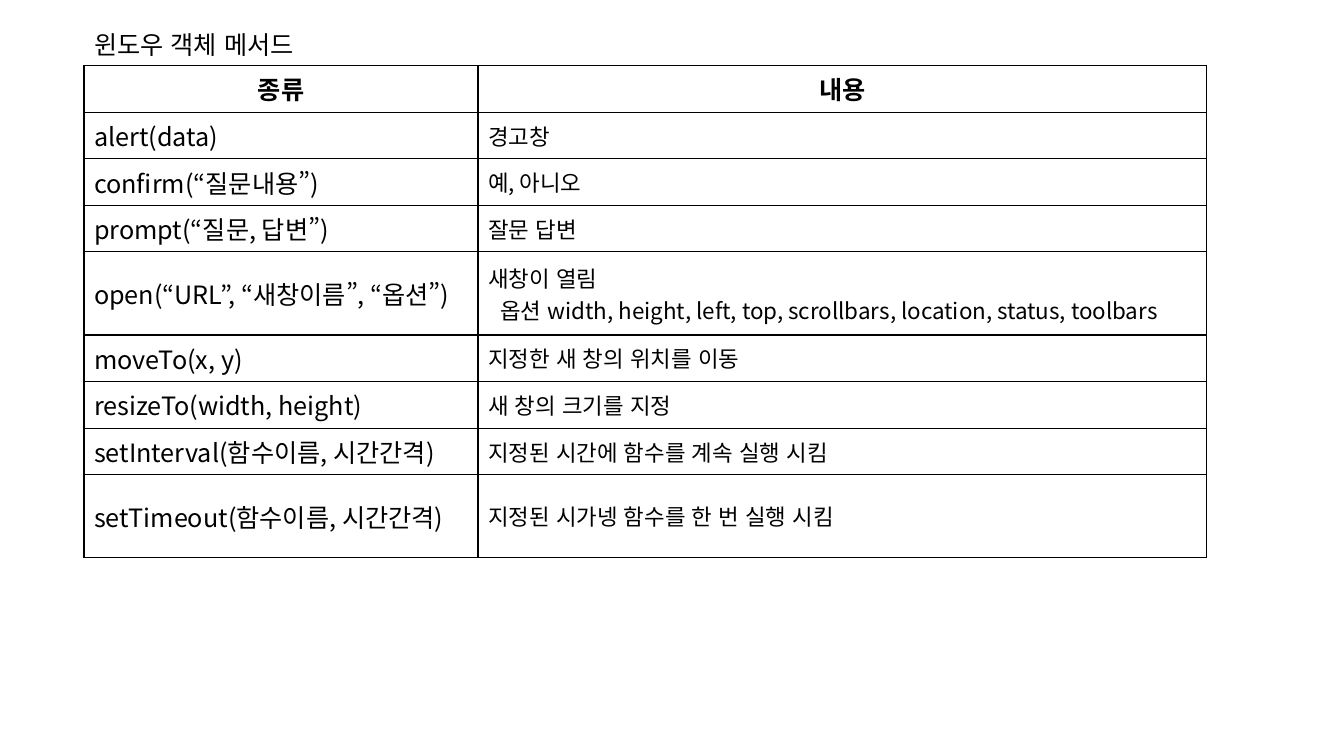
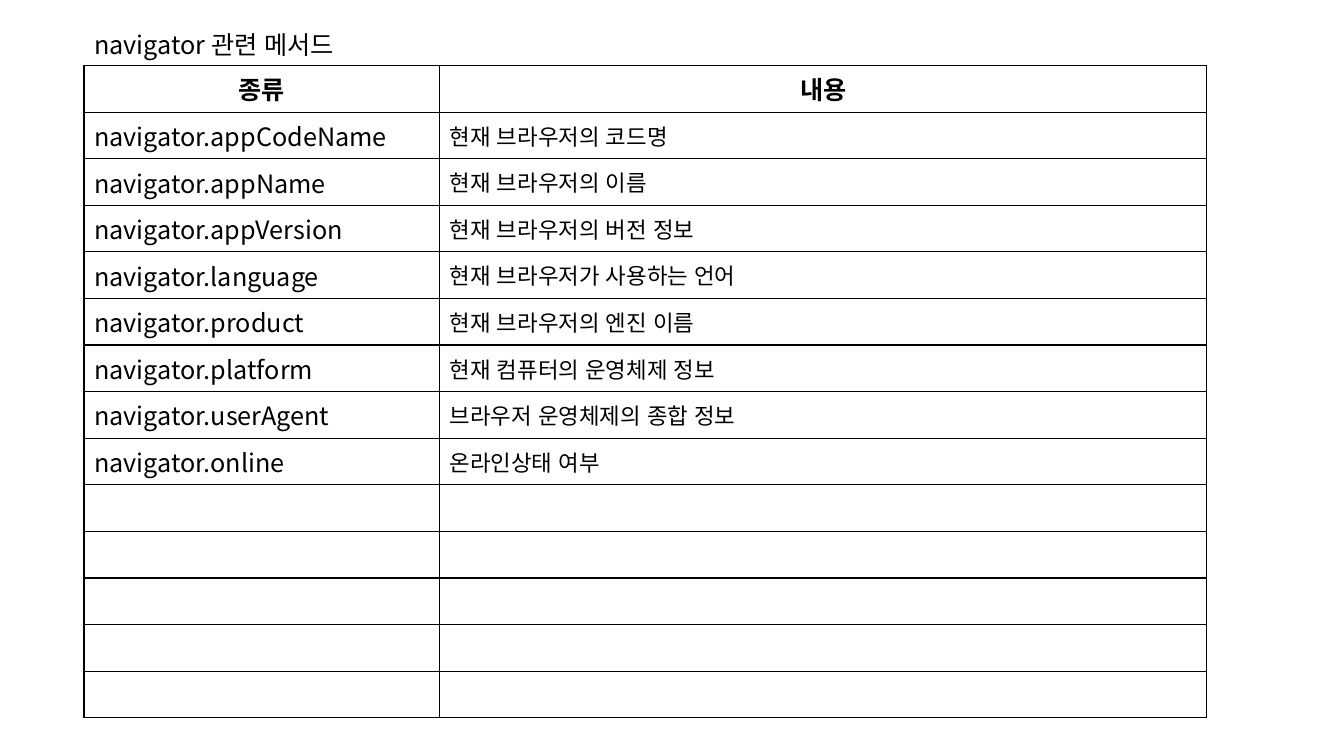
"""Build two reference slides listing the methods of browser objects."""
from dataclasses import dataclass

from lxml import etree
from pptx import Presentation
from pptx.dml.color import RGBColor
from pptx.enum.lang import MSO_LANGUAGE_ID
from pptx.enum.text import MSO_ANCHOR, MSO_AUTO_SIZE, PP_ALIGN
from pptx.oxml.ns import qn
from pptx.util import Pt

LEFT, CENTER = PP_ALIGN.LEFT, PP_ALIGN.CENTER
MIDDLE = MSO_ANCHOR.MIDDLE
NO_AUTOFIT = MSO_AUTO_SIZE.NONE
KOREAN = MSO_LANGUAGE_ID.KOREAN

COLORS = {"text": "000000", "border": "000000", "cell": "FFFFFF"}
FONT = "Noto Sans CJK KR"
LARGE, SMALL = 18, 16
TITLE_ONLY_LAYOUT = 5
TABLE_LEFT, TABLE_TOP, TABLE_WIDTH = 60, 46.8, 802
TITLE_TOP, TITLE_HEIGHT = 17.3, 28.8
ROW_HEIGHT = 33.3
OPTION_INDENT = 8.5
BORDER_WIDTH = 1
HEADERS = ("종류", "내용")


@dataclass(frozen=True)
class Entry:
    name: str
    description: str
    option: str = ""


@dataclass(frozen=True)
class MethodPage:
    title: str
    name_width: float
    entries: tuple[Entry, ...]
    empty_rows: int = 0


PAGES = (
    MethodPage("윈도우 객체 메서드", 281.5, (
        Entry("alert(data)", "경고창"),
        Entry("confirm(“질문내용”)", "예, 아니오"),
        Entry("prompt(“질문, 답변”)", "잘문 답변"),
        Entry("open(“URL”, “새창이름”, “옵션”)", "새창이 열림",
              "옵션 width, height, left, top, scrollbars, location, status, toolbars"),
        Entry("moveTo(x, y)", "지정한 새 창의 위치를 이동"),
        Entry("resizeTo(width, height)", "새 창의 크기를 지정"),
        Entry("setInterval(함수이름, 시간간격)", "지정된 시간에 함수를 계속 실행 시킴"),
        Entry("setTimeout(함수이름, 시간간격)", "지정된 시가넹 함수를 한 번 실행 시킴"),
    )),
    MethodPage("navigator 관련 메서드", 254, (
        Entry("navigator.appCodeName", "현재 브라우저의 코드명"),
        Entry("navigator.appName", "현재 브라우저의 이름"),
        Entry("navigator.appVersion", "현재 브라우저의 버전 정보"),
        Entry("navigator.language", "현재 브라우저가 사용하는 언어"),
        Entry("navigator.product", "현재 브라우저의 엔진 이름"),
        Entry("navigator.platform", "현재 컴퓨터의 운영체제 정보"),
        Entry("navigator.userAgent", "브라우저 운영체제의 종합 정보"),
        Entry("navigator.online", "온라인상태 여부"),
    ), empty_rows=5),
)


def add_text(paragraph, text: str, size: float, bold: bool = False, align=LEFT) -> None:
    paragraph.alignment = align
    run = paragraph.add_run()
    run.text = text
    font = run.font
    font.size = Pt(size)
    font.bold = bold
    font.language_id = KOREAN
    font.color.rgb = RGBColor.from_string(COLORS["text"])
    font.name = FONT
    latin = font._element.find(qn("a:latin"))
    east_asian = etree.Element(qn("a:ea"), typeface=FONT)
    latin.addnext(east_asian)


def style_cell(cell) -> None:
    cell.vertical_anchor = MIDDLE
    properties = cell._tc.get_or_add_tcPr()
    for side in ("a:lnL", "a:lnR", "a:lnT", "a:lnB"):
        line = etree.SubElement(properties, qn(side), w=str(Pt(BORDER_WIDTH)))
        fill = etree.SubElement(line, qn("a:solidFill"))
        etree.SubElement(fill, qn("a:srgbClr"), val=COLORS["border"])
    cell.fill.solid()
    cell.fill.fore_color.rgb = RGBColor.from_string(COLORS["cell"])


def add_title(slide, text: str) -> None:
    title = slide.shapes.title
    title.left, title.top = Pt(TABLE_LEFT), Pt(TITLE_TOP)
    title.width, title.height = Pt(TABLE_WIDTH), Pt(TITLE_HEIGHT)
    frame = title.text_frame
    frame.auto_size = NO_AUTOFIT
    frame.vertical_anchor = MIDDLE
    add_text(frame.paragraphs[0], text, LARGE)


def add_method_table(slide, page: MethodPage) -> None:
    row_count = 1 + len(page.entries) + page.empty_rows
    table = slide.shapes.add_table(
        row_count, len(HEADERS), Pt(TABLE_LEFT), Pt(TABLE_TOP),
        Pt(TABLE_WIDTH), Pt(ROW_HEIGHT * row_count)).table
    widths = (page.name_width, TABLE_WIDTH - page.name_width)
    for column, width in zip(table.columns, widths):
        column.width = Pt(width)
    for row in table.rows:
        row.height = Pt(ROW_HEIGHT)
    for cell in table.iter_cells():
        style_cell(cell)
    for column_index, header in enumerate(HEADERS):
        paragraph = table.cell(0, column_index).text_frame.paragraphs[0]
        add_text(paragraph, header, LARGE, bold=True, align=CENTER)
    for row_index, entry in enumerate(page.entries, start=1):
        name_frame = table.cell(row_index, 0).text_frame
        description_frame = table.cell(row_index, 1).text_frame
        add_text(name_frame.paragraphs[0], entry.name, LARGE)
        add_text(description_frame.paragraphs[0], entry.description, SMALL)
        if entry.option:
            paragraph = description_frame.add_paragraph()
            add_text(paragraph, entry.option, SMALL)
            paragraph._p.get_or_add_pPr().set("marL", str(Pt(OPTION_INDENT)))


def main() -> None:
    presentation = Presentation()
    presentation.slide_width, presentation.slide_height = Pt(960), Pt(540)
    layout = presentation.slide_layouts[TITLE_ONLY_LAYOUT]
    for page in PAGES:
        slide = presentation.slides.add_slide(layout)
        add_title(slide, page.title)
        add_method_table(slide, page)
    presentation.save("out.pptx")


if __name__ == "__main__":
    main()
